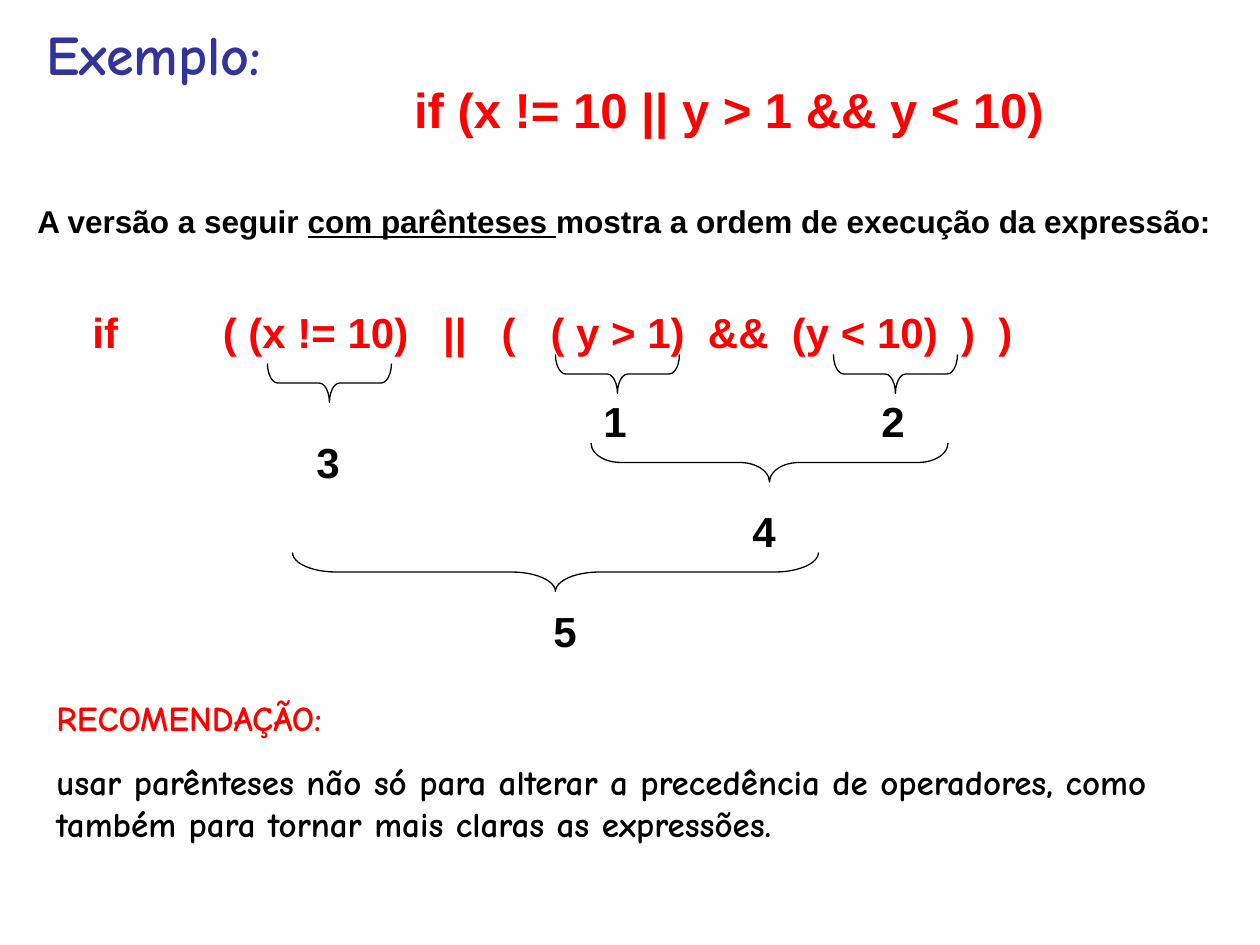
"""Build the slide on operator precedence and parentheses."""
from dataclasses import dataclass

from pptx import Presentation
from pptx.dml.color import RGBColor
from pptx.enum.shapes import MSO_SHAPE
from pptx.enum.text import MSO_ANCHOR, PP_ALIGN
from pptx.util import Emu, Pt

PX = 914400 // 126


@dataclass(frozen=True)
class Theme:
    ink: str = "000000"
    accent: str = "FF0000"
    heading: str = "333399"
    code_font: str = "Arial"
    prose_font: str = "Comic Neue"
    title_size: int = 32
    condition_size: int = 28
    code_size: int = 24
    advice_size: int = 20
    lead_size: int = 18
    brace_depth: int = 39
    brace_curve: float = 0.0833


class SlideBuilder:
    def __init__(self, slide, theme):
        self.slide = slide
        self.theme = theme

    def place(self, shape, left, top, width, height):
        shape.left, shape.top = Emu(left * PX), Emu(top * PX)
        shape.width, shape.height = Emu(width * PX), Emu(height * PX)

    def style(self, paragraph, font, size, color):
        paragraph.font.name = font
        paragraph.font.size = Pt(size)
        paragraph.font.bold = True
        paragraph.font.color.rgb = RGBColor.from_string(color)

    def title(self, text, *box):
        title = self.slide.shapes.title
        self.place(title, *box)
        frame = title.text_frame
        frame.text = text
        frame.vertical_anchor = MSO_ANCHOR.MIDDLE
        frame.paragraphs[0].alignment = PP_ALIGN.LEFT
        self.style(frame.paragraphs[0], self.theme.prose_font,
                   self.theme.title_size, self.theme.heading)

    def text(self, lines, *box, font, align=PP_ALIGN.LEFT, gap=0, wrap=True):
        frame = self.slide.shapes.add_textbox(*(Emu(n * PX) for n in box)).text_frame
        frame.word_wrap = wrap
        for index, (parts, size, color) in enumerate(lines):
            paragraph = frame.add_paragraph() if index else frame.paragraphs[0]
            paragraph.alignment = align
            if index:
                paragraph.space_before = Pt(gap)
            self.style(paragraph, font, size, color)
            for position, part in enumerate(parts):
                run = paragraph.add_run()
                run.text = part
                if position % 2:
                    run.font.underline = True
        return frame

    def brace(self, left, top, length):
        depth = self.theme.brace_depth
        shift = (length - depth) // 2
        box = (left + shift, top - shift, depth, length)
        brace = self.slide.shapes.add_shape(
            MSO_SHAPE.LEFT_BRACE, *(Emu(n * PX) for n in box))
        brace.rotation = 270
        brace.adjustments[0] = self.theme.brace_curve * length / depth
        brace.shadow.inherit = False
        brace.fill.background()
        brace.line.color.rgb = RGBColor.from_string(self.theme.ink)
        brace.line.width = Pt(0.75)

    def step(self, number, left, top):
        theme = self.theme
        self.text([([number], theme.code_size, theme.ink)], left, top, 48, 63,
                  font=theme.code_font, wrap=False)


def main():
    theme = Theme()
    deck = Presentation()
    deck.slide_width, deck.slide_height = Emu(1260 * PX), Emu(945 * PX)
    builder = SlideBuilder(deck.slides.add_slide(deck.slide_layouts[5]), theme)

    builder.title("Exemplo:", 34, 0, 1134, 106)
    lead = ["A versão a seguir ", "com parênteses ",
            "mostra a ordem de execução da expressão:"]
    expression = "if         ( (x != 10)   ||   (   ( y > 1)  &&  (y < 10)  )  )"
    explanation = builder.text(
        [(lead, theme.lead_size, theme.ink),
         ([expression], theme.code_size, theme.accent)],
        25, 196, 1235, 683, font=theme.code_font, gap=38)
    explanation.paragraphs[1]._p.get_or_add_pPr().set("marL", str(55 * PX))

    builder.text([(["if (x != 10 || y > 1 && y < 10)"],
                   theme.condition_size, theme.accent)],
                 372, 73, 714, 72, font=theme.code_font, align=PP_ALIGN.CENTER)
    advice = ("usar parênteses não só para alterar a precedência de operadores, "
              "como também para tornar mais claras as expressões.")
    builder.text([(["RECOMENDAÇÃO:"], theme.advice_size, theme.accent),
                  ([advice], theme.advice_size, theme.ink)],
                 44, 690, 1152, 161, font=theme.prose_font, gap=12.5)

    for span in [(268, 363, 124), (556, 354, 124), (834, 354, 124),
                 (591, 443, 357), (293, 552, 526)]:
        builder.brace(*span)
    for number, left, top in [("1", 591, 389), ("2", 869, 389), ("3", 304, 430),
                              ("4", 740, 499), ("5", 541, 599)]:
        builder.step(number, left, top)

    deck.save("out.pptx")


if __name__ == "__main__":
    main()
